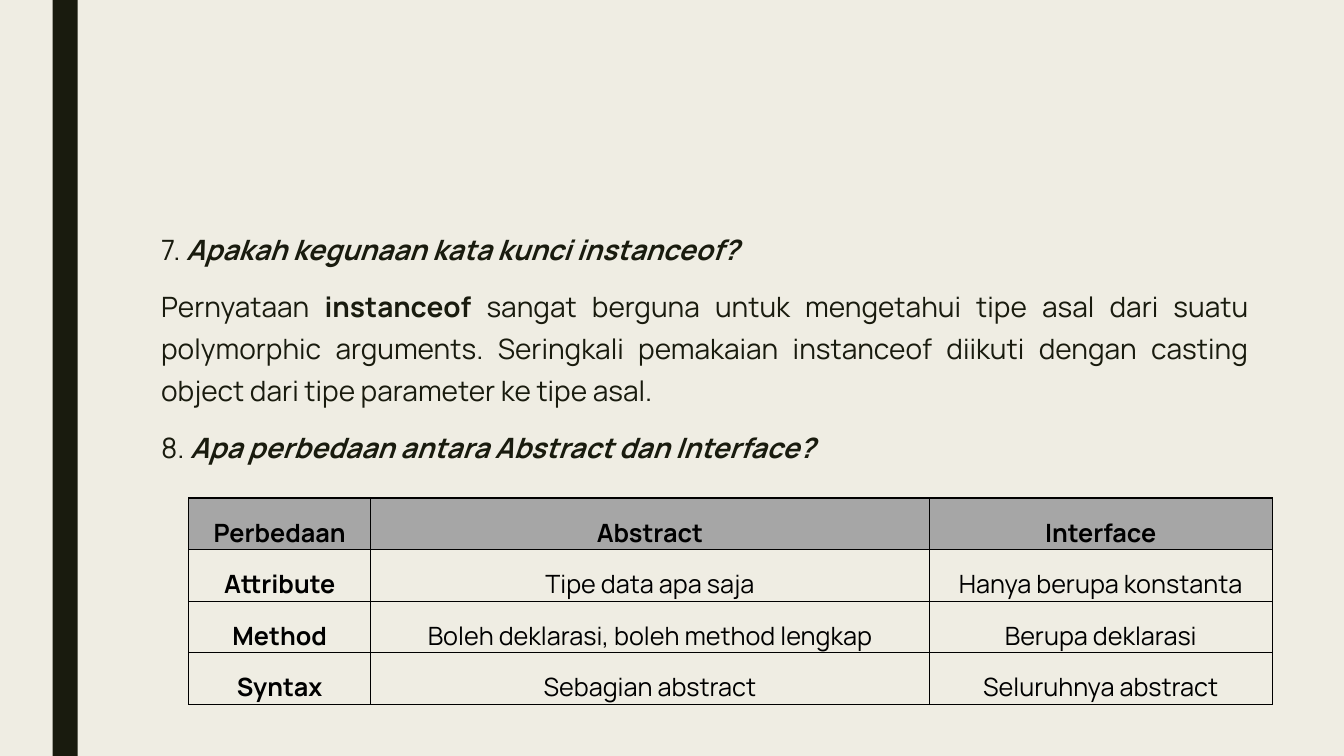
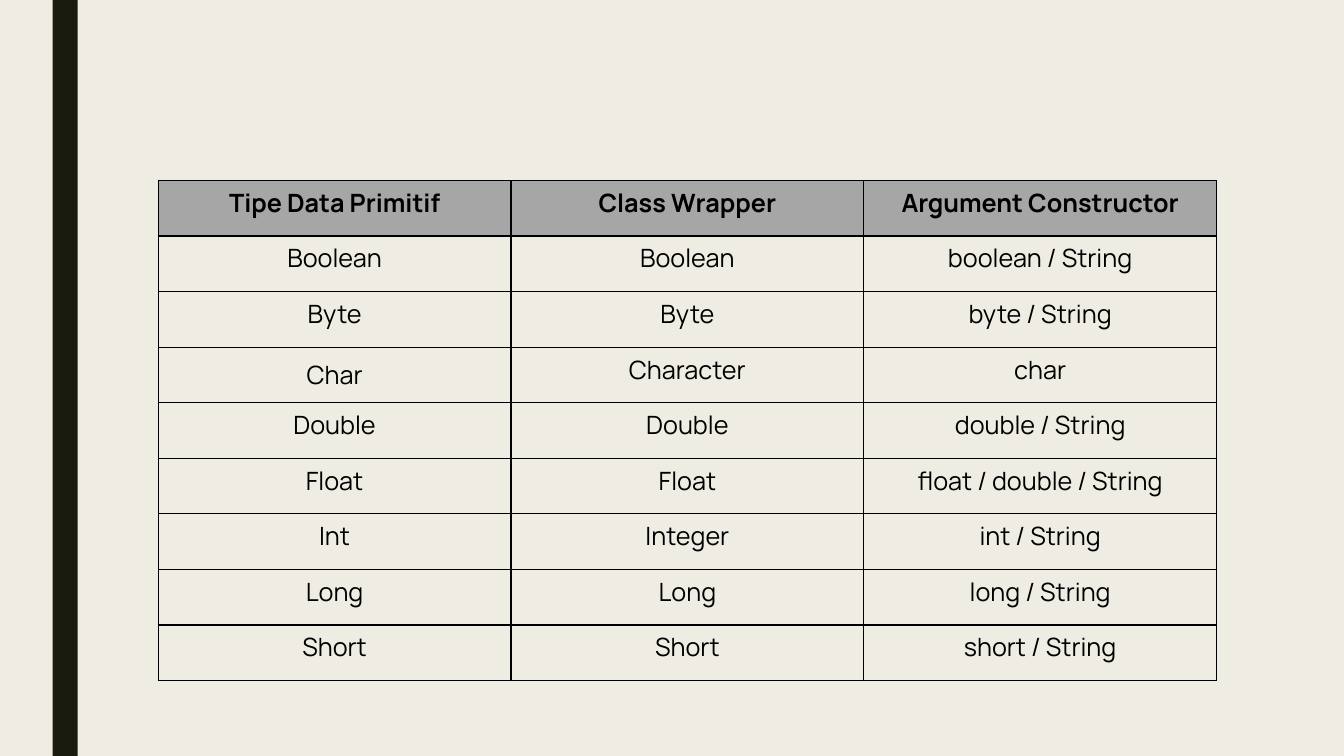
from dataclasses import dataclass

from lxml import etree
from pptx import Presentation
from pptx import util as u
from pptx.dml import color
from pptx.enum import shapes, text
from pptx.oxml import ns

FONT = "Manrope"
PAPER = "EFEDE3"
INK = "191B0E"
BLACK = "000000"
HEADER_GREY = "A6A6A6"
SLIDE_WIDTH, SLIDE_HEIGHT = 960, 540


@dataclass(frozen=True)
class Phrase:
    wording: str
    bold: bool = False
    italic: bool = False


@dataclass(frozen=True)
class Grid:
    left: float
    top: float
    columns: tuple[float, ...]
    row_height: float
    rows: tuple[tuple[str, ...], ...]
    side_inset: float
    edge_inset: float
    line_spacing: float = 1.0
    bold_first_column: bool = False
    all_middle: bool = False
    middle_cells: tuple[tuple[int, int], ...] = ()


def rgb(hex_code: str) -> color.RGBColor:
    return color.RGBColor.from_string(hex_code)


def set_font(font, size: float, hex_code: str) -> None:
    font.name = FONT
    font.size = u.Pt(size)
    font.color.rgb = rgb(hex_code)


def new_slide(deck):
    slide = deck.slides.add_slide(deck.slide_layouts[6])
    band = slide.shapes.add_shape(
        shapes.MSO_SHAPE.RECTANGLE, u.Pt(37.5), 0, u.Pt(18), u.Pt(SLIDE_HEIGHT)
    )
    band.shadow.inherit = False
    band.fill.solid()
    band.fill.fore_color.rgb = rgb(INK)
    band.line.fill.background()
    return slide


def add_answers(slide, paragraphs: tuple[tuple[Phrase, ...], ...]) -> None:
    box = slide.shapes.add_textbox(u.Pt(108), u.Pt(144), u.Pt(791.3), u.Pt(203.8))
    frame = box.text_frame
    frame.word_wrap = True
    frame.vertical_anchor = text.MSO_ANCHOR.MIDDLE
    for index, phrases in enumerate(paragraphs):
        paragraph = frame.add_paragraph() if index else frame.paragraphs[0]
        paragraph.alignment = text.PP_ALIGN.JUSTIFY
        paragraph.line_spacing = 1.24
        paragraph.space_before = u.Pt(9 if index else 0)
        paragraph.space_after = u.Pt(2)
        set_font(paragraph.font, 20, INK)
        for phrase in phrases:
            run = paragraph.add_run()
            run.text = phrase.wording
            run.font.bold = phrase.bold
            run.font.italic = phrase.italic
            set_font(run.font, 20, INK)


def add_borders(cell) -> None:
    properties = cell._tc.get_or_add_tcPr()
    for side in ("a:lnL", "a:lnR", "a:lnT", "a:lnB"):
        border = etree.SubElement(properties, ns.qn(side), w=str(u.Pt(1)))
        fill = etree.SubElement(border, ns.qn("a:solidFill"))
        etree.SubElement(fill, ns.qn("a:srgbClr"), val=BLACK)


def add_grid(slide, grid: Grid) -> None:
    table = slide.shapes.add_table(
        len(grid.rows),
        len(grid.columns),
        u.Pt(grid.left),
        u.Pt(grid.top),
        u.Pt(sum(grid.columns)),
        u.Pt(grid.row_height * len(grid.rows)),
    ).table
    table.first_row = False
    table.horz_banding = False
    for column, width in zip(table.columns, grid.columns):
        column.width = u.Pt(width)
    for row_index, wordings in enumerate(grid.rows):
        table.rows[row_index].height = u.Pt(grid.row_height)
        for column_index, wording in enumerate(wordings):
            cell = table.cell(row_index, column_index)
            is_header = row_index == 0
            add_borders(cell)
            if is_header:
                cell.fill.solid()
                cell.fill.fore_color.rgb = rgb(HEADER_GREY)
            else:
                cell.fill.background()
            cell.margin_left = cell.margin_right = u.Pt(grid.side_inset)
            cell.margin_top = cell.margin_bottom = u.Pt(grid.edge_inset)
            is_middle = grid.all_middle or (row_index, column_index) in grid.middle_cells
            cell.vertical_anchor = (
                text.MSO_ANCHOR.MIDDLE if is_middle else text.MSO_ANCHOR.TOP
            )
            cell.text = wording
            paragraph = cell.text_frame.paragraphs[0]
            paragraph.alignment = text.PP_ALIGN.CENTER
            paragraph.line_spacing = grid.line_spacing
            set_font(paragraph.font, 18, BLACK)
            paragraph.font.bold = is_header or (
                grid.bold_first_column and column_index == 0
            )


ANSWERS = (
    (Phrase("7. "), Phrase("Apakah kegunaan kata kunci instanceof?", True, True)),
    (
        Phrase("Pernyataan "),
        Phrase("instanceof ", True),
        Phrase(
            "sangat berguna untuk mengetahui tipe asal dari suatu polymorphic "
            "arguments. Seringkali pemakaian instanceof diikuti dengan casting "
            "object dari tipe parameter ke tipe asal."
        ),
    ),
    (Phrase("8. "), Phrase("Apa perbedaan antara Abstract dan Interface?", True, True)),
)

DIFFERENCES = Grid(
    left=134.8,
    top=355.7,
    columns=(130, 399, 245),
    row_height=36.9,
    rows=(
        ("Perbedaan", "Abstract", "Interface"),
        ("Attribute", "Tipe data apa saja", "Hanya berupa konstanta"),
        ("Method", "Boleh deklarasi, boleh method lengkap", "Berupa deklarasi"),
        ("Syntax", "Sebagian abstract", "Seluruhnya abstract"),
    ),
    side_inset=10.8,
    edge_inset=0,
    line_spacing=1.5,
    bold_first_column=True,
    all_middle=True,
)

WRAPPERS = Grid(
    left=113,
    top=128.9,
    columns=(252,) * 3,
    row_height=39.7,
    rows=(
        ("Tipe Data Primitif", "Class Wrapper", "Argument Constructor"),
        ("Boolean", "Boolean", "boolean / String"),
        ("Byte", "Byte", "byte / String"),
        ("Char", "Character", "char"),
        ("Double", "Double", "double / String"),
        ("Float", "Float", "float / double / String"),
        ("Int", "Integer", "int / String"),
        ("Long", "Long", "long / String"),
        ("Short", "Short", "short / String"),
    ),
    side_inset=6.5,
    edge_inset=3.6,
    middle_cells=((3, 0),),
)


def main() -> None:
    deck = Presentation()
    deck.slide_width = u.Pt(SLIDE_WIDTH)
    deck.slide_height = u.Pt(SLIDE_HEIGHT)
    backdrop = deck.slide_master.background.fill
    backdrop.solid()
    backdrop.fore_color.rgb = rgb(PAPER)

    questions = new_slide(deck)
    add_answers(questions, ANSWERS)
    add_grid(questions, DIFFERENCES)
    add_grid(new_slide(deck), WRAPPERS)
    deck.save("out.pptx")


if __name__ == "__main__":
    main()
